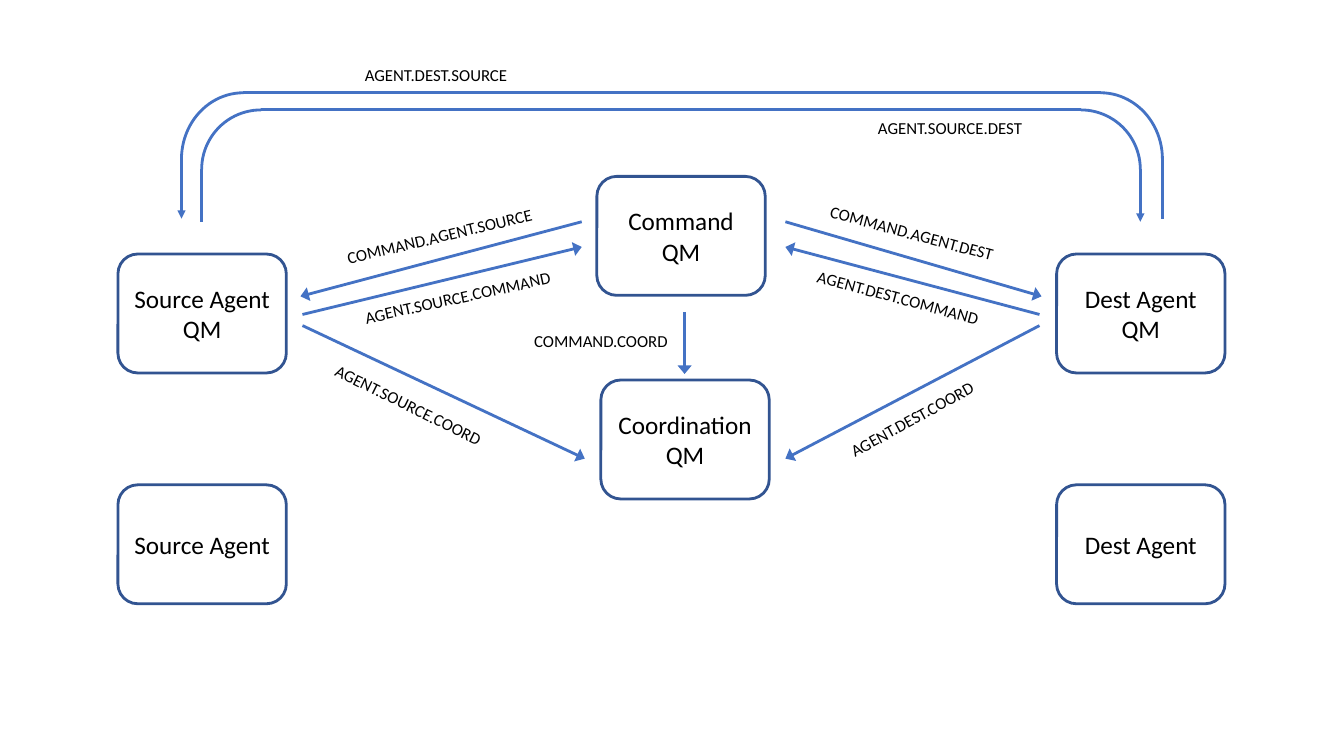
import pptx
import pptx.util
import pptx.dml.color
import pptx.enum.shapes
import pptx.enum.text
import pptx.oxml
import pptx.oxml.ns

Inches = pptx.util.Inches
ShapeType = pptx.enum.shapes.MSO_SHAPE
Align = pptx.enum.text.PP_ALIGN
LINE_BLUE = "4472C4"
BOX_BLUE = "325491"


def color(target, value):
    """Give a line, fill or font colour format a hex colour."""
    target.rgb = pptx.dml.color.RGBColor.from_string(value)


def add_line(page, start, end, head_width=None):
    """Draw a blue line, with an arrowhead at its end if a head width is given."""
    line = page.shapes.add_connector(
        pptx.enum.shapes.MSO_CONNECTOR.STRAIGHT, *map(Inches, start + end))
    color(line.line.color, LINE_BLUE)
    line.line.width = pptx.util.Pt(2)
    properties = line._element.spPr
    if head_width:
        head = pptx.oxml.parse_xml(
            f'<a:tailEnd {pptx.oxml.ns.nsdecls("a")} type="triangle" w="{head_width}" len="med"/>')
        line.line._get_or_add_ln().append(head)
    properties.append(pptx.oxml.parse_xml(f'<a:effectLst {pptx.oxml.ns.nsdecls("a")}/>'))


deck = pptx.Presentation()
deck.slide_width, deck.slide_height = Inches(13.33), Inches(7.5)
page = deck.slides.add_slide(deck.slide_layouts[6])

# Agents and queue managers
source_left, dest_left = 1.17, 10.48
nodes = [
    ("Source Agent", source_left, 4.81),
    ("Dest Agent", dest_left, 4.81),
    ("Source Agent QM", source_left, 2.52),
    ("Dest Agent QM", dest_left, 2.52),
    ("Command QM", 5.92, 1.75),
    ("Coordination QM", 5.96, 3.77),
]
for name, left, top in nodes:
    box = page.shapes.add_shape(ShapeType.ROUNDED_RECTANGLE, Inches(left), Inches(top),
                                Inches(1.67), Inches(1.18))
    box.shadow.inherit = False
    box.fill.background()
    color(box.line.color, BOX_BLUE)
    box.line.width = pptx.util.Pt(2)
    frame = box.text_frame
    frame.text = name
    frame.word_wrap = True
    frame.vertical_anchor = pptx.enum.text.MSO_ANCHOR.MIDDLE
    para = frame.paragraphs[0]
    para.alignment = Align.CENTER
    span = para.runs[0]
    span.font.size, span.font.name = pptx.util.Pt(18), "Calibri"
    color(span.font.color, "000000")

# Straight channels between queue managers
channels = [
    ((3, 3.23), (5.8, 4.55)),
    ((5.77, 2.2), (2.98, 2.94)),
    ((10.31, 3.23), (7.79, 4.55)),
    ((7.79, 2.2), (10.33, 2.94)),
    ((3, 3.12), (5.77, 2.45)),
    ((10.31, 3.12), (7.79, 2.45)),
    ((6.79, 3.1), (6.79, 3.71)),
]
for start, end in channels:
    add_line(page, start, end, "lg")

# Rounded channels over the top: left, right, top, bottom, arc width, arc height, arrow side
loops = [
    (2, 11.31, 1.09, 2.2, 1.18, 1.18, "right"),
    (1.8, 11.53, 0.92, 2.17, 1.23, 1.32, "left"),
]
for left, right, top, bottom, width, height, arrow_side in loops:
    bend = top + height / 2
    # Arc adjustments count 60000ths of a degree in units of 100000
    for arc_left, start_angle in ((left, 180), (right - width, 270)):
        arc = page.shapes.add_shape(ShapeType.ARC, Inches(arc_left), Inches(top),
                                    Inches(width), Inches(height))
        arc.adjustments[0] = start_angle * 0.6
        arc.adjustments[1] = (start_angle + 90) % 360 * 0.6
        arc.shadow.inherit = False
        arc.fill.background()
        color(arc.line.color, LINE_BLUE)
        arc.line.width = pptx.util.Pt(2)
    add_line(page, (left + width / 2, top), (right - width / 2, top))
    for side, x in (("left", left), ("right", right)):
        add_line(page, (x, bend), (x, bottom), "med" if side == arrow_side else None)

# Channel names: left, top, width, rotation
labels = [
    ("AGENT.DEST.SOURCE", 3.52, 0.59, 1.7, 0),
    ("AGENT.SOURCE.DEST", 8.61, 1.12, 1.7, 0),
    ("AGENT.SOURCE.COMMAND", 3.5, 2.79, 2.16, -12.4),
    ("COMMAND.AGENT.SOURCE", 3.32, 2.18, 2.16, -13.5),
    ("AGENT.DEST.COMMAND", 7.98, 2.84, 2.16, 15.1),
    ("COMMAND.AGENT.DEST", 8.11, 2.2, 2.16, 15),
    ("AGENT.SOURCE.COORD", 3.14, 3.95, 2.16, 26.3),
    ("AGENT.DEST.COORD", 8.23, 3.86, 2.16, -28.8),
    ("COMMAND.COORD", 5.2, 3.23, 2.16, 0),
]
for name, left, top, width, angle in labels:
    label = page.shapes.add_textbox(Inches(left), Inches(top), Inches(width), Inches(0.3))
    label.rotation = angle
    frame = label.text_frame
    frame.text = name
    frame.word_wrap = True
    frame.auto_size = pptx.enum.text.MSO_AUTO_SIZE.SHAPE_TO_FIT_TEXT
    span = frame.paragraphs[0].runs[0]
    span.font.size, span.font.name = pptx.util.Pt(12), "Calibri"
    color(span.font.color, "000000")

deck.save("out.pptx")
